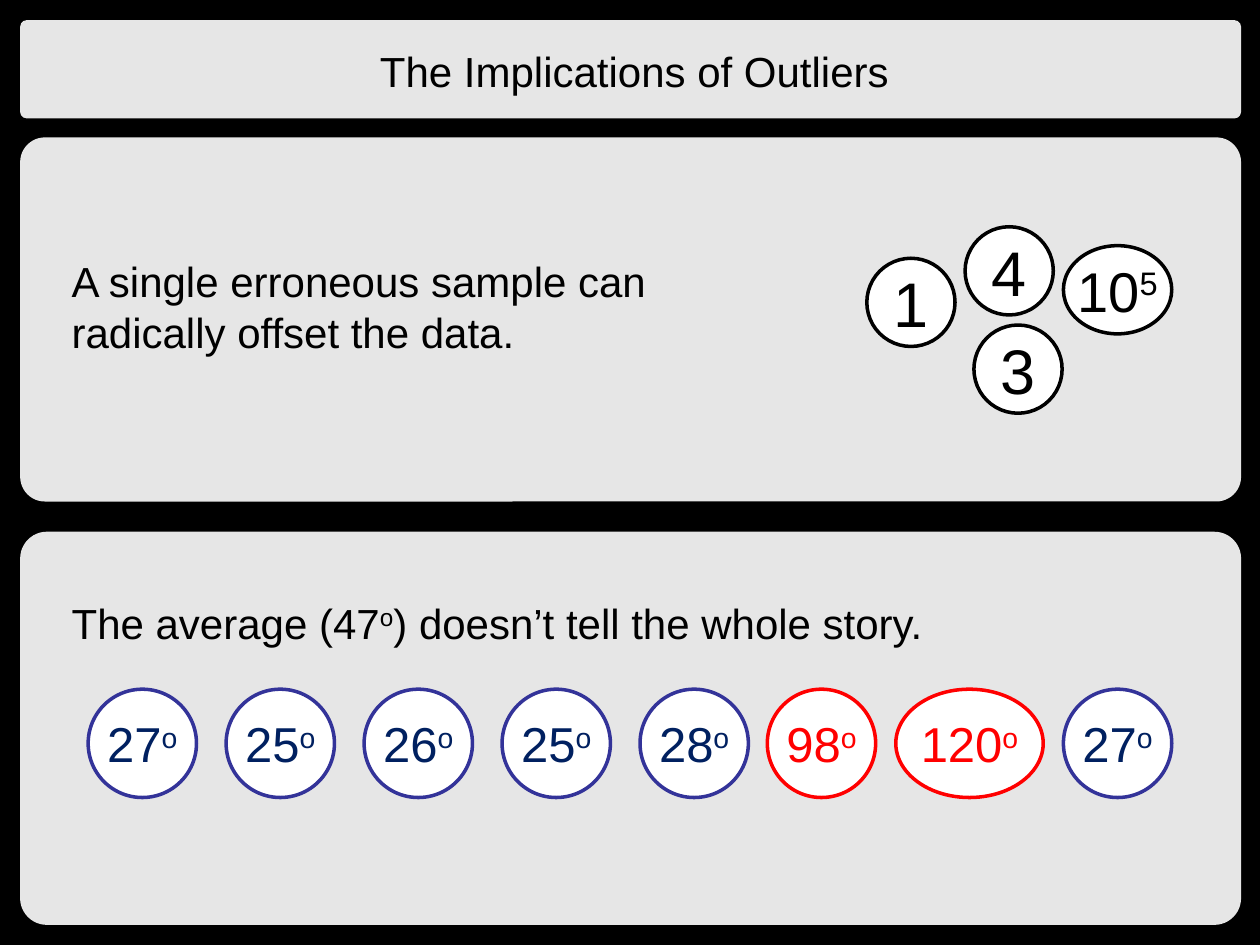
import pptx
import pptx.util
import pptx.dml.color
import pptx.enum.shapes
import pptx.enum.text
import pptx.oxml
import pptx.oxml.ns

Inches, Pt = pptx.util.Inches, pptx.util.Pt
SHAPE = pptx.enum.shapes.MSO_SHAPE
ALIGN = pptx.enum.text.PP_ALIGN
ANCHOR = pptx.enum.text.MSO_ANCHOR

COLORS = {"back": "000000", "white": "FFFFFF", "ink": "000000",
          "ring": "333399", "normal": "002060", "outlier": "FF0000"}
FONT = "Arial"

# Content: "^" puts the next character in superscript
PANELS = [(1.09, 2.89), (4.22, 3.12), (0.16, 0.78)]  # top, height
TEXTS = [  # text, left, top, width, height, alignment
    ("The Implications of Outliers", 0.23, 0.31, 9.61, 0.5, ALIGN.CENTER),
    ("A single erroneous sample can radically offset the data.",
     0.47, 1.98, 4.77, 0.9, ALIGN.LEFT),
    ("The average (47^o) doesn’t tell the whole story.",
     0.47, 4.69, 7.42, 0.5, ALIGN.LEFT),
]
SAMPLES = [  # text, left, top, width, text size
    ("4", 7.66, 1.8, 0.7, 36),
    ("3", 7.73, 2.58, 0.7, 36),
    ("1", 6.88, 2.05, 0.7, 36),
    ("10^5", 8.44, 1.95, 0.86, 32),  # smaller, to stay inside its oval
]
READINGS = [27, 25, 26, 25, 28, 98, 120, 27]
OUTLIER_LIMIT = 90

# Layout in inches
MARGIN, PANEL_W = 0.16, 9.69
SAMPLE_H = 0.7
READING_D, WIDE_READING = 0.86, 1.17
READING_LEFT, READING_TOP, READING_STEP = 0.7, 5.47, 1.095
LATE_LEFTS = [6.09, 7.11, 8.44]  # the last readings sit closer together


def color(name):
    return pptx.dml.color.RGBColor.from_string(COLORS[name])


def write(s, text, size=24, ink="ink", align=ALIGN.LEFT, anchor=ANCHOR.TOP,
          inset=(0.1, 0.05), wrap=True):
    tf = s.text_frame
    tf.word_wrap = wrap
    tf.vertical_anchor = anchor
    tf.margin_left = tf.margin_right = Inches(inset[0])
    tf.margin_top = tf.margin_bottom = Inches(inset[1])
    p = tf.paragraphs[0]
    p.alignment = align
    base, *raised = text.split("^")
    pieces = [(base, False)]
    for part in raised:
        pieces += [(part[0], True), (part[1:], False)]
    for piece, is_super in pieces:
        if not piece:
            continue
        r = p.add_run()
        r.text = piece
        r.font.name = FONT
        r.font.size = Pt(size)
        r.font.color.rgb = color(ink)
        if is_super:
            r._r.get_or_add_rPr().set("baseline", "30000")


def add_shape(shapes, kind, left, top, width, height, line=None):
    s = shapes.add_shape(kind, Inches(left), Inches(top),
                         Inches(width), Inches(height))
    s.shadow.inherit = False
    s.fill.solid()
    s.fill.fore_color.rgb = color("white")
    if line:
        s.line.color.rgb = color(line)
        s.line.width = Pt(2)
    else:
        s.line.fill.background()
    return s


def add_oval(shapes, text, left, top, width, height, line, **fmt):
    s = add_shape(shapes, SHAPE.OVAL, left, top, width, height, line)
    write(s, text, align=ALIGN.CENTER, anchor=ANCHOR.MIDDLE, inset=(0, 0),
          wrap=False, **fmt)


def add_panel(shapes, top, height):
    s = add_shape(shapes, SHAPE.ROUNDED_RECTANGLE, MARGIN, top, PANEL_W, height)
    s.adjustments[0] = 0.068
    rgb = s.fill._xPr.find(".//" + pptx.oxml.ns.qn("a:srgbClr"))
    rgb.append(pptx.oxml.parse_xml(
        f'<a:alpha {pptx.oxml.ns.nsdecls("a")} val="90000"/>'))


def main():
    prs = pptx.Presentation()
    prs.slide_width, prs.slide_height = Inches(10), Inches(7.5)
    slide = prs.slides.add_slide(prs.slide_layouts[6])
    slide.background.fill.solid()
    slide.background.fill.fore_color.rgb = color("back")
    shapes = slide.shapes

    # Panels, title and statements
    for top, height in PANELS:
        add_panel(shapes, top, height)
    for text, left, top, width, height, align in TEXTS:
        s = shapes.add_textbox(Inches(left), Inches(top),
                               Inches(width), Inches(height))
        write(s, text, align=align)

    # Samples
    for text, left, top, width, size in SAMPLES:
        add_oval(shapes, text, left, top, width, SAMPLE_H, "ink", size=size)

    # Temperature readings
    regular = len(READINGS) - len(LATE_LEFTS)
    lefts = [READING_LEFT + i * READING_STEP for i in range(regular)] + LATE_LEFTS
    for value, left in zip(READINGS, lefts):
        line, ink = (("outlier", "outlier") if value > OUTLIER_LIMIT
                     else ("ring", "normal"))
        width = WIDE_READING if value >= 100 else READING_D
        add_oval(shapes, f"{value}^o", left, READING_TOP, width, READING_D,
                 line, size=28, ink=ink)

    prs.save("out.pptx")


if __name__ == "__main__":
    main()
